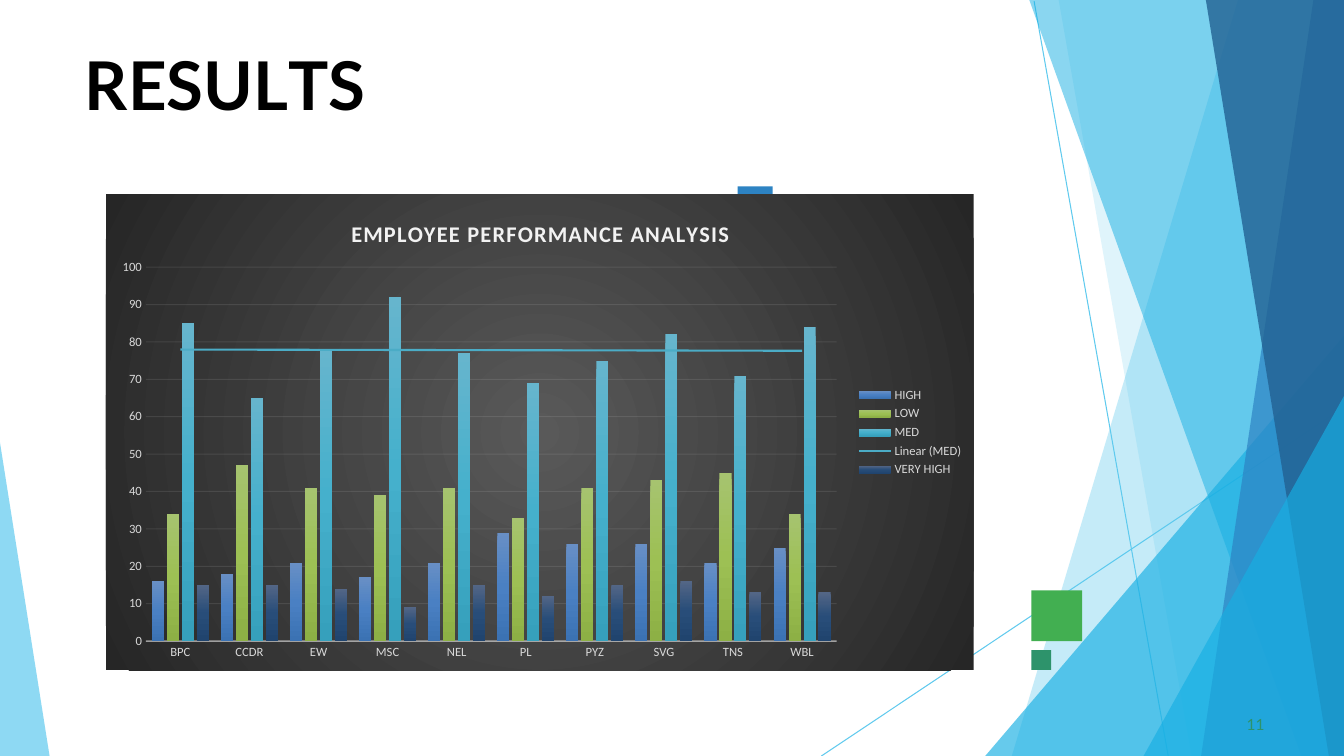
from lxml import etree
from pptx import Presentation
from pptx import util as u
from pptx.chart.data import CategoryChartData
from pptx.dml.color import RGBColor
from pptx.enum import chart as charts
from pptx.enum import shapes, text
from pptx.oxml import parse_xml
from pptx.oxml.ns import qn

WIDTH, HEIGHT = 33.87, 19.05
NAMESPACES = (
    'xmlns:a="http://schemas.openxmlformats.org/drawingml/2006/main" '
    'xmlns:c="http://schemas.openxmlformats.org/drawingml/2006/chart"'
)
SITES = ["BPC", "CCDR", "EW", "MSC", "NEL", "PL", "PYZ", "SVG", "TNS", "WBL"]
RATINGS = {
    "HIGH": ([16, 18, 21, 17, 21, 29, 26, 26, 21, 25], ("688FC5", "4A80C3", "3B72B3")),
    "LOW": ([34, 47, 41, 39, 41, 33, 41, 43, 45, 34], ("A6C36F", "9DC054", "8DB045")),
    "MED": ([85, 65, 78, 92, 77, 69, 75, 82, 71, 84], ("66B5CD", "45B0CC", "36A0BC")),
    "VERY HIGH": ([15, 15, 14, 9, 15, 12, 15, 16, 13, 13], ("536686", "284D79", "20446E")),
}
FACETS = [
    (0, 2.67, 8.37, "5FCAEE", 36),
    (0, 7.19, 3.84, "5FCAEE", 20),
    (8.46, 0, 9.04, "17AFE3", 66),
    (0, 7.93, 1.07, "17AFE3", 50),
    (0, 0.77, 3.6, "2D83C3", 70),
    (0, 3.48, 0.38, "226192", 80),
    (9.98, 0, 5.05, "17AFE3", 66),
]


def paint(colour_format, colour, opacity=100):
    """Set a solid colour and, if below 100, its opacity in percent."""
    colour_format.rgb = RGBColor.from_string(colour)
    if opacity < 100:
        srgb = colour_format._xFill.find(qn("a:srgbClr"))
        etree.SubElement(srgb, qn("a:alpha"), val=str(opacity * 1000))


def fill_solid(shape, colour, opacity=100):
    """Fill a shape without outline or shadow."""
    shape.shadow.inherit = False
    shape.line.fill.background()
    shape.fill.solid()
    paint(shape.fill.fore_color, colour, opacity)


def style_font(font, name, size, colour, bold=False):
    """Set the face, size, weight and colour of a font."""
    font.name, font.size, font.bold = name, u.Pt(size), bold
    font.fill.solid()
    paint(font.fill.fore_color, colour)


def gradient(colours, direction):
    """Return gradient fill XML with evenly spaced stops."""
    stops = "".join(
        f'<a:gs pos="{100000 * i // (len(colours) - 1)}"><a:srgbClr val="{colour}"/></a:gs>'
        for i, colour in enumerate(colours)
    )
    return f'<a:gradFill {NAMESPACES} rotWithShape="1"><a:gsLst>{stops}</a:gsLst>{direction}</a:gradFill>'


def manual_layout(x, y, w=None, h=None):
    """Return chart layout XML in fractions of the chart area."""
    target = '<c:layoutTarget val="inner"/>' if w else ""
    extent = f'<c:w val="{w}"/><c:h val="{h}"/>' if w else ""
    return parse_xml(
        f'<c:layout {NAMESPACES}><c:manualLayout>{target}<c:xMode val="edge"/><c:yMode val="edge"/>'
        f'<c:x val="{x}"/><c:y val="{y}"/>{extent}</c:manualLayout></c:layout>'
    )


def place_layout(parent, layout, before):
    """Replace the layout of a chart part, ahead of the named sibling."""
    for old in parent.findall(qn("c:layout")):
        parent.remove(old)
    parent.find(qn(before)).addprevious(layout)


def add_facet(slide, points, colour, opacity):
    """Draw a translucent polygon through points given in cm."""
    corners = [(u.Cm(x), u.Cm(y)) for x, y in points]
    outline = slide.shapes.build_freeform(*corners[0])
    outline.add_line_segments(corners[1:], close=True)
    fill_solid(outline.convert_to_shape(), colour, opacity)


def add_backdrop(slide, left, top, width, height):
    """Draw the thin lines and the blue facets at both edges."""
    right, bottom = left + width, top + height
    for x1, y1, x2 in [(26.06, 0.03, 29.44), (width, 10.26, 20.7)]:
        ray = slide.shapes.add_connector(
            shapes.MSO_CONNECTOR.STRAIGHT,
            u.Cm(left + x1), u.Cm(top + y1), u.Cm(left + x2), u.Cm(bottom),
        )
        ray.line.width = u.Pt(0.75)
        paint_line = ray.line.fill
        paint_line.solid()
        paint(paint_line.fore_color, "5FCAEE")
        etree.SubElement(ray._element.spPr, qn("a:effectLst"))
    for start, upper, lower, colour, opacity in FACETS:
        points = [(right, top + start), (right - upper, top + start), (right - lower, bottom), (right, bottom)]
        add_facet(slide, points, colour, opacity)
    add_facet(slide, [(left, top + 11.15), (left, bottom), (left + 1.25, bottom)], "5FCAEE", 70)


def add_squares(slide, left, top):
    """Draw the three small accent squares."""
    for dx, dy, side, colour in [(7.4, 10.18, 1.28, "42AF51"), (0, 0, 0.88, "2D83C3"), (7.4, 11.68, 0.5, "2D936B")]:
        square = slide.shapes.add_shape(
            shapes.MSO_SHAPE.RECTANGLE, u.Cm(left + dx), u.Cm(top + dy), u.Cm(side), u.Cm(side)
        )
        fill_solid(square, colour)


def frame_text(shape, left, top, width, height, indent):
    """Place a text shape with tight margins and return its paragraph."""
    shape.left, shape.top, shape.width, shape.height = (u.Cm(n) for n in (left, top, width, height))
    frame = shape.text_frame
    frame.margin_left, frame.margin_top = u.Cm(indent), u.Cm(0.03)
    frame.margin_right = frame.margin_bottom = 0
    frame.word_wrap = True
    frame.auto_size = text.MSO_AUTO_SIZE.NONE
    frame.vertical_anchor = text.MSO_ANCHOR.TOP
    frame.paragraphs[0].alignment = text.PP_ALIGN.LEFT
    return frame.paragraphs[0]


def add_heading(slide, left, top, width, height):
    """Fill the title placeholder, with the L kerned into the T."""
    heading = frame_text(slide.shapes.title, left, top, width, height, 0.03)
    heading.space_before = u.Pt(1.1)
    for letters, spacing in [("RESU", 0), ("L", -4), ("TS", 0)]:
        run = heading.add_run()
        run.text = letters
        style_font(run.font, "Lato", 48, "000000", bold=True)
        run._r.get_or_add_rPr().set("spc", str(spacing * 100))


def add_page_number(slide, left, top, width, height):
    """Write the page number."""
    box = slide.shapes.add_textbox(0, 0, 0, 0)
    number = frame_text(box, left, top, width, height, 0.1)
    number.text = "11"
    number.space_before = u.Pt(0.6)
    style_font(number.runs[0].font, "Lato", 11, "2D936B")


def style_axes(chart):
    """Format both axes and the gridlines."""
    for axis in (chart.category_axis, chart.value_axis):
        axis.major_tick_mark = axis.minor_tick_mark = charts.XL_TICK_MARK.NONE
        style_font(axis.tick_labels.font, "Calibri", 9, "D9D9D9")
    scale = chart.value_axis
    scale.minimum_scale, scale.maximum_scale, scale.major_unit = 0, 100, 10
    scale.format.line.fill.background()
    for line, width, opacity in [
        (chart.category_axis.format.line, 1, 54),
        (scale.major_gridlines.format.line, 0.75, 10),
    ]:
        line.width = u.Pt(width)
        line.fill.solid()
        paint(line.fill.fore_color, "F2F2F2", opacity)


def add_performance_chart(slide, left, top, width, height):
    """Draw the clustered columns with a linear trend for MED."""
    data = CategoryChartData()
    data.categories = SITES
    for rating, (counts, _) in RATINGS.items():
        data.add_series(rating, counts)
    chart = slide.shapes.add_chart(
        charts.XL_CHART_TYPE.COLUMN_CLUSTERED, *(u.Cm(n) for n in (left, top, width, height)), data
    ).chart
    style_font(chart.font, "Calibri", 10, "000000")
    style_axes(chart)

    chart.has_title = True
    caption = chart.chart_title.text_frame.paragraphs[0]
    caption.text = "EMPLOYEE PERFORMANCE ANALYSIS"
    style_font(caption.runs[0].font, "Calibri", 16, "F2F2F2", bold=True)
    caption.runs[0]._r.get_or_add_rPr().set("spc", "100")
    place_layout(chart.chart_title._element, manual_layout(0.278, 0.043), "c:overlay")
    place_layout(chart._chartSpace.chart.plotArea, manual_layout(0.046, 0.153, 0.796, 0.786), "c:barChart")

    chart.has_legend = True
    chart.legend.position = charts.XL_LEGEND_POSITION.RIGHT
    chart.legend.include_in_layout = False
    style_font(chart.legend.font, "Calibri", 9, "D9D9D9")

    plot = chart.plots[0]
    plot.gap_width, plot.overlap, plot.vary_by_categories = 100, -24, False
    for series in plot.series:
        shades = RATINGS[series.name][1]
        series.format.fill._xPr.append(parse_xml(gradient(shades, '<a:lin ang="5400000" scaled="0"/>')))
        if series.name == "MED":
            series._element.find(qn("c:cat")).addprevious(parse_xml(
                f'<c:trendline {NAMESPACES}><c:spPr><a:ln w="19050"><a:solidFill><a:srgbClr val="4BACC6"/>'
                '</a:solidFill></a:ln></c:spPr><c:trendlineType val="linear"/>'
                '<c:dispRSqr val="0"/><c:dispEq val="0"/></c:trendline>'
            ))
    glow = gradient(
        ("595959", "262626"),
        '<a:path path="circle"><a:fillToRect l="50000" t="50000" r="50000" b="50000"/></a:path>',
    )
    chart._chartSpace.chart.addnext(
        parse_xml(f"<c:spPr {NAMESPACES}>{glow}<a:ln><a:noFill/></a:ln></c:spPr>")
    )


def main():
    """Build and save the results slide."""
    deck = Presentation()
    deck.slide_width, deck.slide_height = u.Cm(WIDTH), u.Cm(HEIGHT)
    slide = deck.slides.add_slide(deck.slide_layouts[5])
    add_backdrop(slide, 0, 0, WIDTH, HEIGHT)
    add_squares(slide, 18.59, 4.7)
    add_heading(slide, 2.11, 1.07, 10.11, 2.06)
    add_page_number(slide, 31.32, 17.98, 0.64, 0.53)
    add_performance_chart(slide, 2.67, 4.9, 21.87, 11.99)
    deck.save("out.pptx")


if __name__ == "__main__":
    main()
